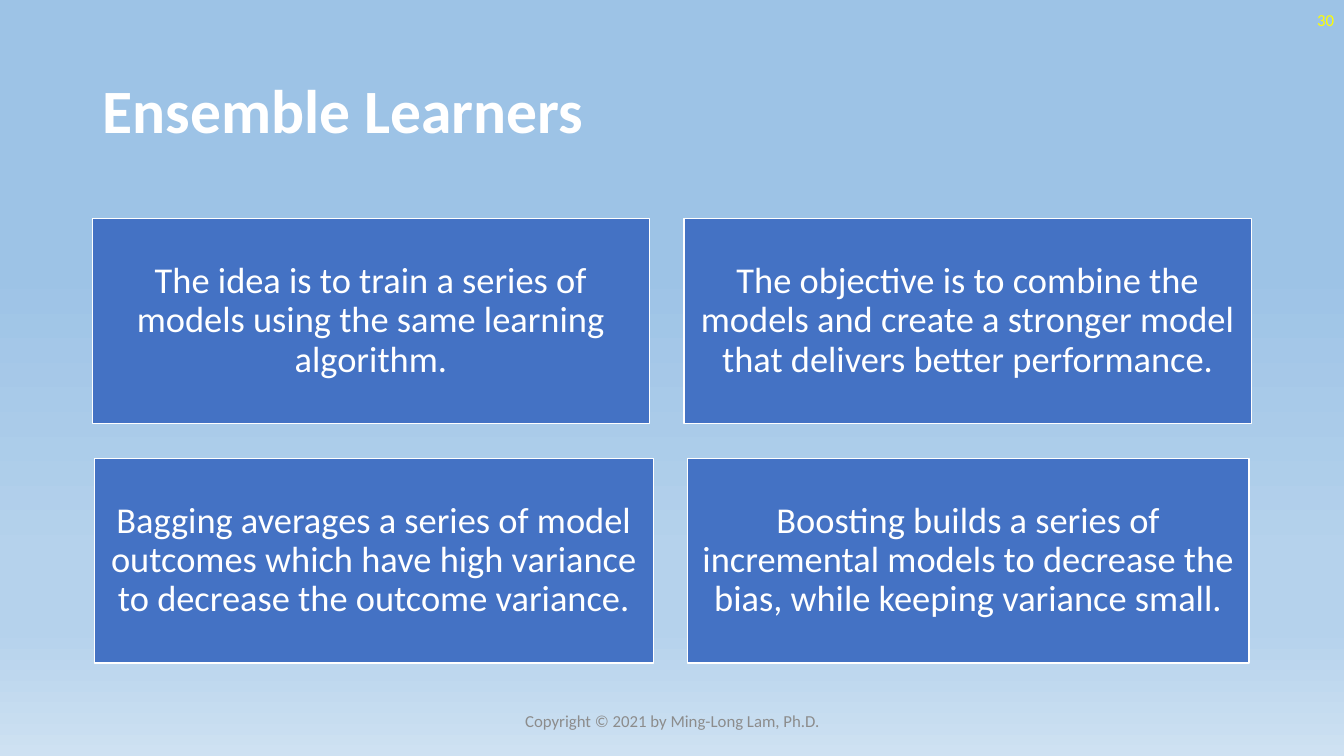
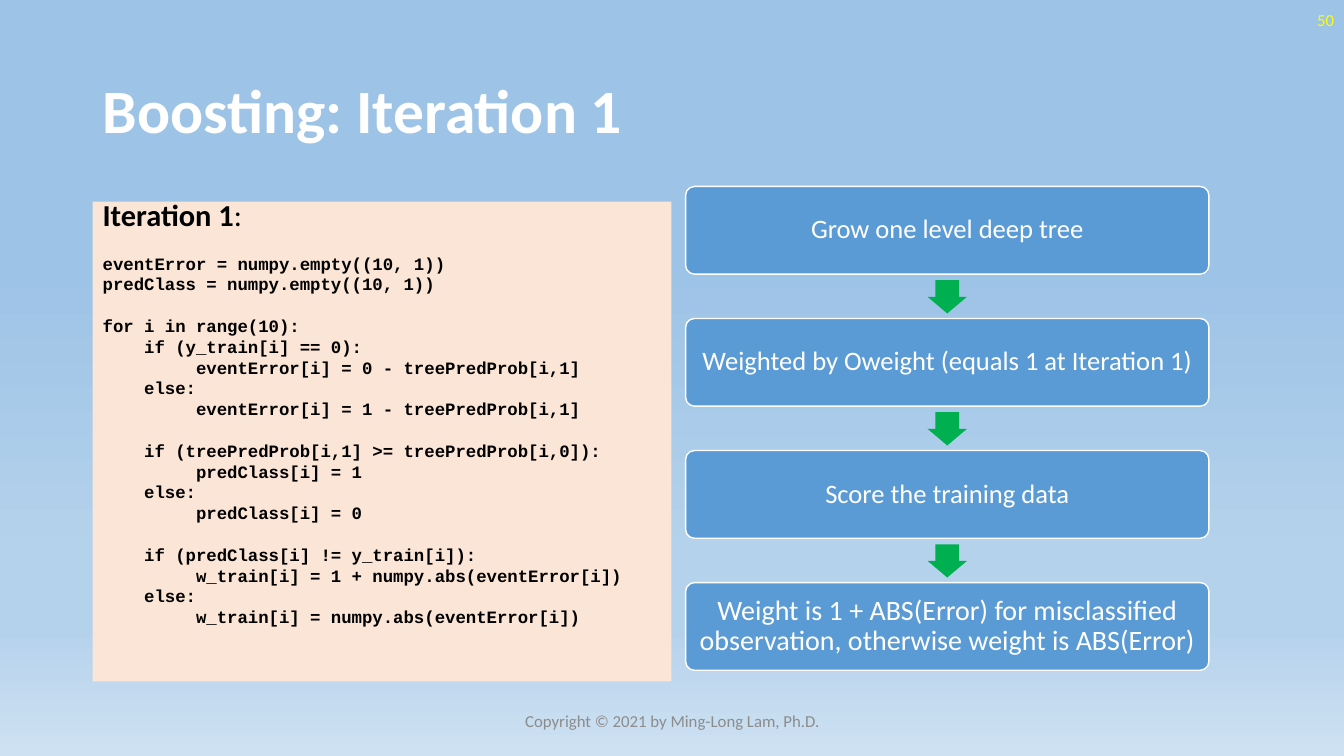
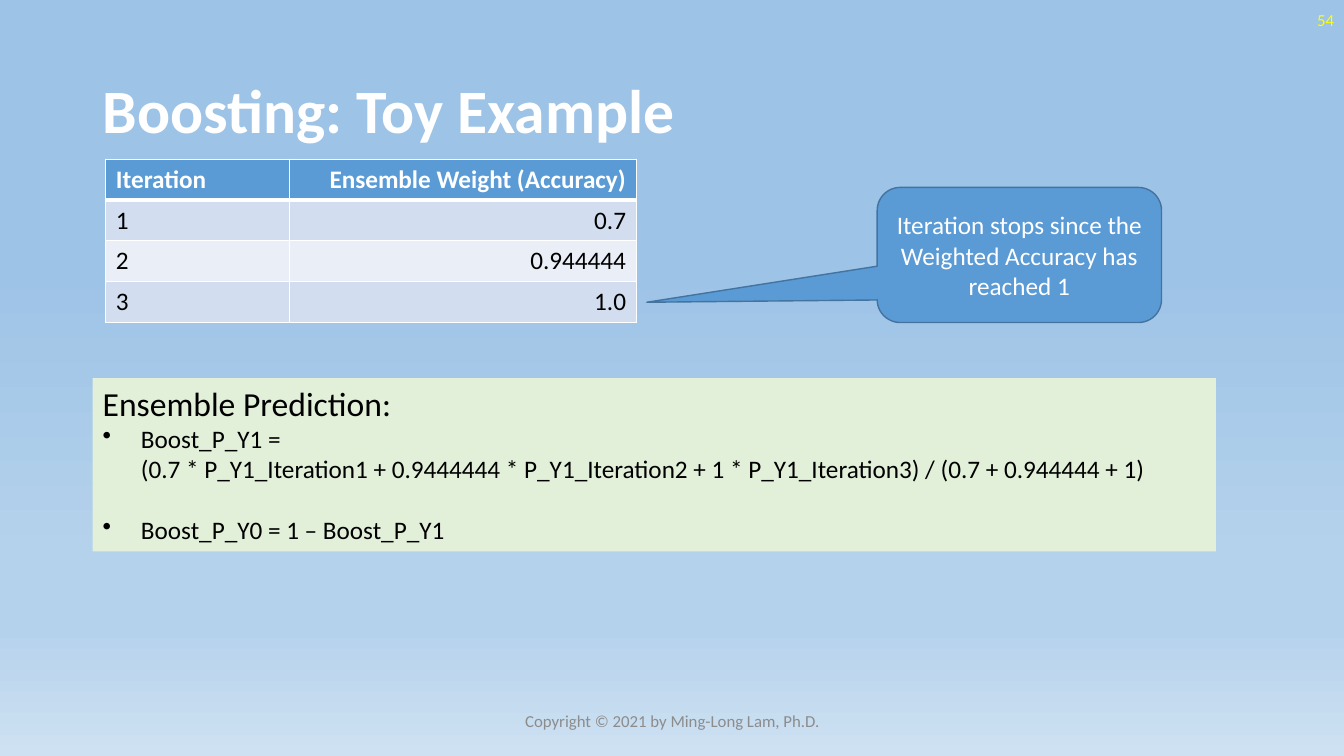
from lxml import etree
from pptx import Presentation
from pptx.dml.color import RGBColor
from pptx.enum.shapes import MSO_SHAPE as SHAPE
from pptx.enum.text import MSO_ANCHOR as ANCHOR, PP_ALIGN as ALIGN
from pptx.oxml import parse_xml
from pptx.oxml.ns import nsdecls, qn
from pptx.util import Inches, Pt

# Colours and fonts
WHITE = RGBColor(0xFF, 0xFF, 0xFF)
BLACK = RGBColor(0x00, 0x00, 0x00)
YELLOW = RGBColor(0xFF, 0xFF, 0x00)
GRAY = RGBColor(0x8C, 0x8C, 0x8C)
ROYAL = RGBColor(0x44, 0x72, 0xC4)
BLUE = RGBColor(0x5B, 0x9B, 0xD5)
DARK_BLUE = RGBColor(0x43, 0x73, 0x9E)
GREEN = RGBColor(0x00, 0xB0, 0x50)
PEACH = RGBColor(0xFB, 0xE5, 0xD6)
PALE_GREEN = RGBColor(0xE2, 0xF0, 0xD9)
ROW_FILLS = (RGBColor(0xD2, 0xDE, 0xEF), RGBColor(0xEA, 0xEF, 0xF7))
SKY_STOPS = ((35, "9DC3E6"), (74, "B5D2EC"), (83, "B5D2EC"), (100, "CEE1F2"))
BODY_FONT = "Calibri"
CODE_FONT = "Courier New"

SLIDE_WIDTH, SLIDE_HEIGHT = 13.33, 7.5
CODE_PITCH = 14.85  # points from one code line to the next
COPYRIGHT = "Copyright © 2021 by Ming-Long Lam, Ph.D."

CODE_BLOCKS = (
    """eventError = numpy.empty((10, 1))
predClass = numpy.empty((10, 1))""",
    """for i in range(10):
    if (y_train[i] == 0):
         eventError[i] = 0 - treePredProb[i,1]
    else:
         eventError[i] = 1 - treePredProb[i,1]""",
    """    if (treePredProb[i,1] >= treePredProb[i,0]):
         predClass[i] = 1
    else:
         predClass[i] = 0""",
    """    if (predClass[i] != y_train[i]):
         w_train[i] = 1 + numpy.abs(eventError[i])
    else:
         w_train[i] = numpy.abs(eventError[i])""",
)


def write(paragraph, text, size=18, color=BLACK, bold=False, font=BODY_FONT,
          align=None, line_spacing=None, before=None):
    """Add text to a paragraph; a newline becomes a line break."""
    for number, line in enumerate(text.split("\n")):
        if number:
            paragraph.add_line_break()
        run = paragraph.add_run()
        run.text = line
        run.font.name = font
        run.font.size = Pt(size)
        run.font.bold = bold
        run.font.color.rgb = color
    if align is not None:
        paragraph.alignment = align
    if line_spacing is not None:
        paragraph.line_spacing = line_spacing
    if before is not None:
        paragraph.space_before = Pt(before)


def add_bullet(paragraph, indent=0.38):
    properties = paragraph._p.get_or_add_pPr()
    properties.set("marL", str(Inches(indent)))
    properties.set("indent", str(-Inches(indent)))
    etree.SubElement(properties, qn("a:buChar")).set("char", "•")


def set_borders(cell, bottom=1):
    properties = cell._tc.get_or_add_tcPr()
    widths = {"lnL": 1, "lnR": 1, "lnT": 1, "lnB": bottom}
    for position, (side, width) in enumerate(widths.items()):
        properties.insert(position, parse_xml(
            f'<a:{side} {nsdecls("a")} w="{Pt(width)}"><a:solidFill>'
            f'<a:srgbClr val="{WHITE}"/></a:solidFill></a:{side}>'))


class Deck:
    """Holds the shared style and the current slide."""

    def __init__(self):
        self.presentation = Presentation()
        self.presentation.slide_width = Inches(SLIDE_WIDTH)
        self.presentation.slide_height = Inches(SLIDE_HEIGHT)
        self.slide = None

    def paint_background(self):
        fill = self.slide.background.fill
        fill.gradient()
        fill.gradient_angle = 270
        stops = self.slide.background._cSld.find(".//" + qn("a:gsLst"))
        stops.clear()
        for position, color in SKY_STOPS:
            stop = etree.SubElement(stops, qn("a:gs"), pos=str(position * 1000))
            etree.SubElement(stop, qn("a:srgbClr"), val=color)

    def new_slide(self, title, number):
        self.slide = self.presentation.slides.add_slide(
            self.presentation.slide_layouts[6])
        self.paint_background()
        self.text(0.92, 0.4, 11.5, 1.45, title, size=44, color=WHITE,
                  bold=True, line_spacing=0.9)
        self.text(10.33, 0, 3, 0.4, str(number), size=12, color=YELLOW,
                  align=ALIGN.RIGHT)
        self.text(4.42, 6.95, 4.5, 0.4, COPYRIGHT, size=12, color=GRAY,
                  align=ALIGN.CENTER)

    def text(self, left, top, width, height, text, **style):
        box = self.slide.shapes.add_textbox(
            Inches(left), Inches(top), Inches(width), Inches(height))
        frame = box.text_frame
        frame.word_wrap = True
        frame.vertical_anchor = ANCHOR.MIDDLE
        write(frame.paragraphs[0], text, **style)

    def shape(self, kind, left, top, width, height, fill, line=None,
              adjustments=()):
        shape = self.slide.shapes.add_shape(
            kind, Inches(left), Inches(top), Inches(width), Inches(height))
        shape.shadow.inherit = False
        shape.fill.solid()
        shape.fill.fore_color.rgb = fill
        if line is None:
            shape.line.fill.background()
        else:
            shape.line.color.rgb = line
            shape.line.width = Pt(1)
        for index, value in enumerate(adjustments):
            shape.adjustments[index] = value
        return shape

    def label(self, shape, text, size, line_spacing=0.9):
        frame = shape.text_frame
        frame.word_wrap = True
        frame.vertical_anchor = ANCHOR.MIDDLE
        write(frame.paragraphs[0], text, size=size, color=WHITE,
              align=ALIGN.CENTER, line_spacing=line_spacing)

    def panel(self, left, top, width, height, fill):
        """Filled text panel; returns its text frame."""
        frame = self.shape(SHAPE.RECTANGLE, left, top, width, height,
                           fill).text_frame
        frame.word_wrap = True
        frame.vertical_anchor = ANCHOR.TOP
        frame.paragraphs[0].alignment = ALIGN.LEFT
        return frame

    def table(self, left, top, widths, row_height, rows):
        table = self.slide.shapes.add_table(
            len(rows), len(widths), Inches(left), Inches(top),
            Inches(sum(widths)), Inches(row_height * len(rows))).table
        for column, width in zip(table.columns, widths):
            column.width = Inches(width)
        for r, values in enumerate(rows):
            header = r == 0
            for c, value in enumerate(values):
                cell = table.cell(r, c)
                cell.fill.solid()
                cell.fill.fore_color.rgb = (
                    BLUE if header else ROW_FILLS[(r - 1) % 2])
                set_borders(cell, bottom=3 if header else 1)
                write(cell.text_frame.paragraphs[0], value, bold=header,
                      color=WHITE if header else BLACK,
                      align=ALIGN.RIGHT if c else ALIGN.LEFT)


def build_learners(deck):
    deck.new_slide("Ensemble Learners", 30)
    gap, height = 0.34, 2.03
    rows = (
        ((5.53, "The idea is to train a series of models using the same "
                "learning algorithm."),
         (5.63, "The objective is to combine the models and create a stronger "
                "model that delivers better performance.")),
        ((5.54, "Bagging averages a series of model outcomes which have high "
                "variance to decrease the outcome variance."),
         (5.57, "Boosting builds a series of incremental models to decrease "
                "the bias, while keeping variance small.")),
    )
    # Each row is centred on the slide
    for row, cards in enumerate(rows):
        left = (SLIDE_WIDTH - gap - sum(width for width, _ in cards)) / 2
        for width, text in cards:
            card = deck.shape(SHAPE.RECTANGLE, left, 2.17 + row * (height + 0.35),
                              width, height, ROYAL, line=WHITE)
            deck.label(card, text, 26)
            left += width + gap


def build_iteration(deck):
    deck.new_slide("Boosting: Iteration 1", 50)

    # Code panel
    frame = deck.panel(0.92, 2, 5.74, 4.76, PEACH)
    heading = frame.paragraphs[0]
    write(heading, "Iteration 1", size=21.7, bold=True, line_spacing=0.7)
    write(heading, ":", size=21.7)
    for block in CODE_BLOCKS:
        for number, line in enumerate(block.split("\n")):
            write(frame.add_paragraph(), line, size=12.4, bold=True,
                  font=CODE_FONT, align=ALIGN.LEFT,
                  line_spacing=Pt(CODE_PITCH),
                  before=0 if number else CODE_PITCH)

    # Steps joined by arrows
    left, top, width, pitch = 6.8, 1.85, 5.19, 1.31
    arrow_width = 0.39
    steps = (
        ("Grow one level deep tree", 19),
        ("Weighted by Oweight (equals 1 at Iteration 1)", 19),
        ("Score the training data", 19),
        ("Weight is 1 + ABS(Error) for misclassified observation, "
         "otherwise weight is ABS(Error)", 20),
    )
    for index, (text, size) in enumerate(steps):
        step_top = top + index * pitch
        if index:
            deck.shape(SHAPE.DOWN_ARROW, left + (width - arrow_width) / 2,
                       step_top - 0.38, arrow_width, 0.33, GREEN,
                       adjustments=(0.6, 0.5))
        step = deck.shape(SHAPE.ROUNDED_RECTANGLE, left, step_top, width, 0.87,
                          BLUE, line=WHITE, adjustments=(0.1,))
        deck.label(step, text, size)


def build_example(deck):
    deck.new_slide("Boosting: Toy Example", 54)
    deck.table(1.05, 1.58, (1.82, 3.44), 0.405, (
        ("Iteration", "Ensemble Weight (Accuracy)"),
        ("1", "0.7"),
        ("2", "0.944444"),
        ("3", "1.0"),
    ))

    # Prediction formulas
    frame = deck.panel(0.92, 3.75, 11.14, 1.72, PALE_GREEN)
    write(frame.paragraphs[0], "Ensemble Prediction:", size=24)
    formulas = (
        ("Boost_P_Y1 =\n(0.7 * P_Y1_Iteration1 + 0.9444444 * P_Y1_Iteration2 "
         "+ 1 * P_Y1_Iteration3) / (0.7 + 0.944444 + 1)", 0),
        ("Boost_P_Y0 = 1 – Boost_P_Y1", 22),
    )
    for formula, before in formulas:
        paragraph = frame.add_paragraph()
        add_bullet(paragraph)
        write(paragraph, formula, align=ALIGN.LEFT, before=before)

    callout = deck.shape(SHAPE.ROUNDED_RECTANGULAR_CALLOUT, 8.7, 1.86, 2.82,
                         1.34, BLUE, line=DARK_BLUE,
                         adjustments=(-1.31, 0.35, 0.17))
    deck.label(callout, "Iteration stops since the Weighted Accuracy has "
               "reached 1", 18, line_spacing=1.0)


def main():
    deck = Deck()
    build_learners(deck)
    build_iteration(deck)
    build_example(deck)
    deck.presentation.save("out.pptx")


if __name__ == "__main__":
    main()
